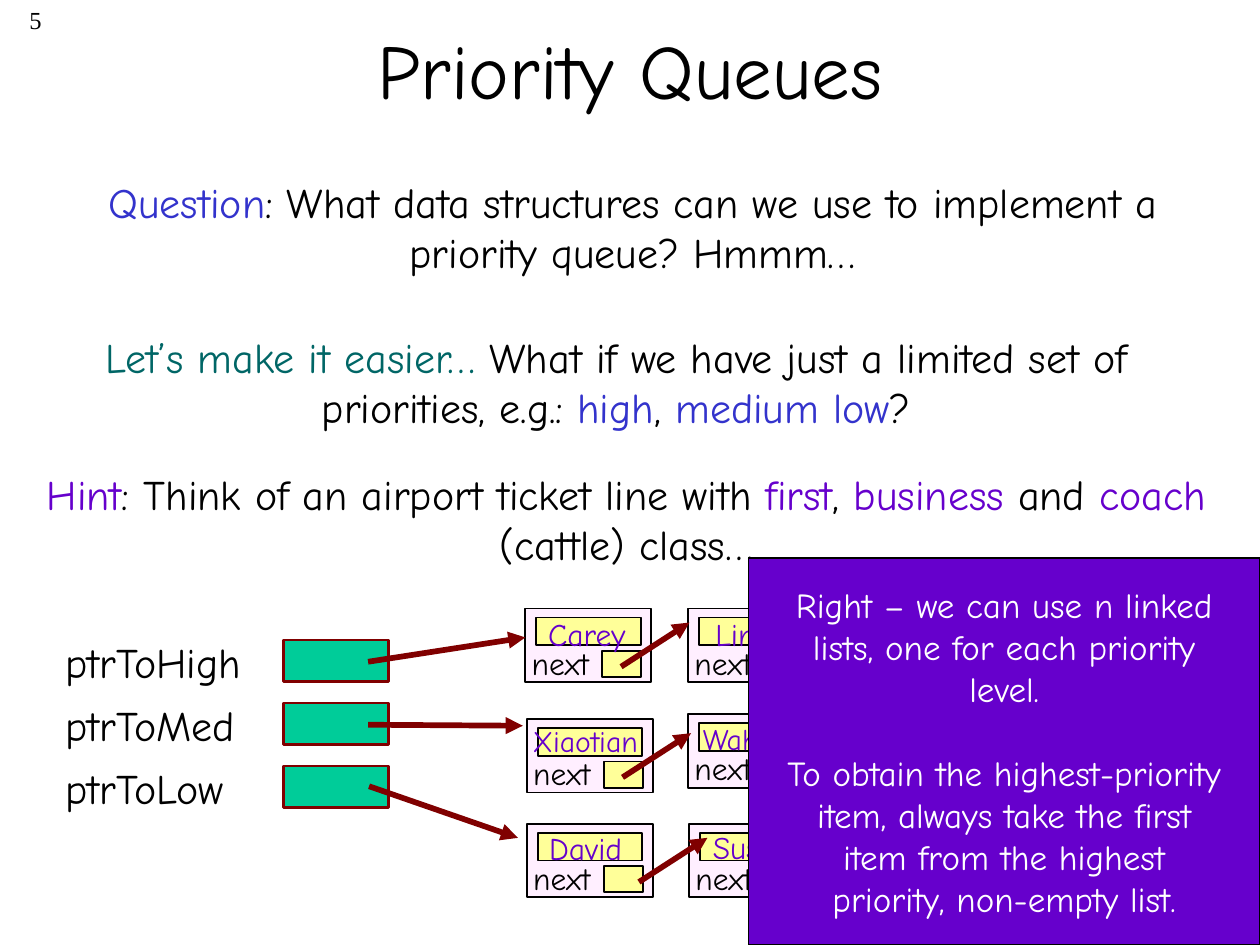
from lxml.etree import SubElement
from pptx import Presentation
from pptx.dml.color import RGBColor
from pptx.enum.shapes import MSO_CONNECTOR, MSO_SHAPE
from pptx.enum.text import MSO_ANCHOR, MSO_AUTO_SIZE, PP_ALIGN
from pptx.oxml.ns import qn
from pptx.util import Cm, Pt

COLORS = {
    "black": "000000", "white": "FFFFFF", "blue": "3333CC", "teal": "006666",
    "purple": "6600CC", "green": "00CC99", "maroon": "800000",
    "pink": "FFEFFF", "yellow": "FFFF99",
}
BODY_FONT = "Comic Neue"

QUESTIONS = [
    ((1.07, 3.43, 23.37), [
        ("Question", "blue"),
        (": What data structures can we use to implement a priority queue? Hmmm…", "black")]),
    ((0.43, 6.55, 23.98), [
        ("Let’s make it easier…", "teal"),
        (" What if we have just a limited set of priorities, e.g.: ", "black"),
        ("high", "blue"), (", ", "black"), ("medium low", "blue"), ("?", "black")]),
    ((0.64, 9.32, 23.98), [
        ("Hint", "purple"), (": Think of an airport ticket line with ", "black"),
        ("first", "purple"), (", ", "black"), ("business", "purple"),
        (" and ", "black"), ("coach", "purple"), (" (cattle) class…", "black")]),
]
POINTERS = [("ptrToHigh", 4.62), ("ptrToMed", 4.5), ("ptrToLow", 4.29)]
NODES = [
    ("Carey", 10.59, 12.27, 0.21, 0, 2.21, 18),
    ("Lin", 13.87, 12.27, 0.3, 0, 1.4, 18),
    ("Xiaotian", 10.62, 14.5, -0.13, -0.05, 2.82, 17),
    ("Wah", 13.87, 14.4, 0.05, 0, 1.8, 17),
    ("David", 10.62, 16.61, 0.2, -0.02, 2.16, 18),
    ("Sus", 13.89, 16.61, 0.23, -0.05, 1.6, 18),
]
HEAD_ARROWS = [
    (7.42, 13.34, 10.59, 12.85),
    (7.42, 14.61, 10.54, 14.63),
    (7.44, 15.85, 10.44, 16.89),
]
NEXT_ARROW_STARTS = [(12.52, 13.44), (12.55, 15.67), (12.88, 17.78)]
ANSWER = [
    [[("Right – we can use ", "white"), ("n ", "pink"), ("linked", "white")],
     [("lists, one for each priority", "white")],
     [("level.", "white")]],
    [[("To obtain the highest-priority", "white")],
     [("item, always take the first", "white")],
     [("item from the highest", "white")],
     [("priority, non-empty list.", "white")]],
]


def color(name):
    """Return the named palette colour."""
    return RGBColor.from_string(COLORS[name])


def set_font(paragraph, size, font=BODY_FONT):
    """Set the typeface and size of a whole paragraph."""
    paragraph.font.name = font
    paragraph.font.size = Pt(size)


def add_runs(paragraph, runs):
    """Append coloured runs to a paragraph."""
    for words, tint in runs:
        run = paragraph.add_run()
        run.text = words
        run.font.color.rgb = color(tint)


def add_text(slide, left, top, width, height, runs, size,
             align=PP_ALIGN.LEFT, wrap=False, font=BODY_FONT):
    """Add a one-paragraph text box."""
    box = slide.shapes.add_textbox(Cm(left), Cm(top), Cm(width), Cm(height))
    frame = box.text_frame
    frame.word_wrap = wrap
    frame.auto_size = MSO_AUTO_SIZE.SHAPE_TO_FIT_TEXT
    paragraph = frame.paragraphs[0]
    paragraph.alignment = align
    set_font(paragraph, size, font)
    add_runs(paragraph, runs)


def add_box(slide, left, top, width, height, fill, line="black", weight=1):
    """Add a filled, outlined rectangle."""
    box = slide.shapes.add_shape(
        MSO_SHAPE.RECTANGLE, Cm(left), Cm(top), Cm(width), Cm(height))
    box.shadow.inherit = False
    box.fill.solid()
    box.fill.fore_color.rgb = color(fill)
    box.line.color.rgb = color(line)
    box.line.width = Pt(weight)
    return box


def add_arrow(slide, x1, y1, x2, y2):
    """Add a link arrow pointing at its end."""
    arrow = slide.shapes.add_connector(
        MSO_CONNECTOR.STRAIGHT, Cm(x1), Cm(y1), Cm(x2), Cm(y2))
    arrow.line.color.rgb = color("maroon")
    arrow.line.width = Pt(3.25)
    SubElement(arrow.line._get_or_add_ln(), qn("a:tailEnd"), type="triangle")
    SubElement(arrow._element.spPr, qn("a:effectLst"))


def add_title(slide, words):
    """Fill and format the title placeholder."""
    title = slide.shapes.title
    title.left, title.top, title.width, title.height = (
        Cm(1.91), Cm(-0.2), Cm(21.59), Cm(3.18))
    title.text_frame.vertical_anchor = MSO_ANCHOR.MIDDLE
    paragraph = title.text_frame.paragraphs[0]
    paragraph.alignment = PP_ALIGN.CENTER
    set_font(paragraph, 44)
    add_runs(paragraph, [(words, "black")])


def add_pointer(slide, row, label, width):
    """Add a head pointer with its label."""
    top = 12.7 + 1.27 * row
    add_box(slide, 5.72, top + 0.2, 2.11, 0.84, "green", "maroon", 1.5)
    add_text(slide, 1.07, top, width, 1.27, [(label, "black")], 24)


def add_node(slide, left, top, has_link):
    """Add a list node with its value cell and next field."""
    add_box(slide, left, top, 2.54, 1.48, "pink")
    add_box(slide, left + 0.22, top + 0.18, 2.11, 0.56, "yellow")
    if has_link:
        add_box(slide, left + 1.55, top + 0.85, 0.79, 0.53, "yellow")
    add_text(slide, left - 0.12, top + 0.58, 1.85, 1.02, [("next", "black")], 18)


def add_answer(slide):
    """Add the answer panel with its two centred paragraphs."""
    panel = add_box(slide, 15.09, 11.25, 10.31, 7.8, "purple")
    frame = panel.text_frame
    frame.word_wrap = False
    frame.vertical_anchor = MSO_ANCHOR.MIDDLE
    for index, lines in enumerate(ANSWER):
        paragraph = frame.add_paragraph() if index else frame.paragraphs[0]
        paragraph.alignment = PP_ALIGN.CENTER
        paragraph.space_before = Pt(24 * index)
        set_font(paragraph, 20)
        for number, runs in enumerate(lines):
            if number:
                paragraph.add_line_break()
            add_runs(paragraph, runs)


def main():
    """Build the priority queue slide."""
    deck = Presentation()
    deck.slide_width, deck.slide_height = Cm(25.4), Cm(19.05)
    slide = deck.slides.add_slide(deck.slide_layouts.get_by_name("Title Only"))
    add_text(slide, -4.19, -0.03, 5.28, 1.27, [("5", "black")], 14,
             PP_ALIGN.RIGHT, True, "Times New Roman")
    add_title(slide, "Priority Queues")
    for (left, top, width), runs in QUESTIONS:
        add_text(slide, left, top, width, 2.29, runs, 24, PP_ALIGN.CENTER, True)
    for row, (label, width) in enumerate(POINTERS):
        add_pointer(slide, row, label, width)
    for index, (_, left, top, *_) in enumerate(NODES):
        add_node(slide, left, top, index % 2 == 0)
    for ends in HEAD_ARROWS:
        add_arrow(slide, *ends)
    for x, y in NEXT_ARROW_STARTS:
        add_arrow(slide, x, y, x + 1.38, y - 0.89)
    for name, left, top, shift, rise, width, size in NODES:
        add_text(slide, left + shift, top + rise, width, 1.02,
                 [(name, "purple")], size)
    add_answer(slide)
    deck.save("out.pptx")


if __name__ == "__main__":
    main()
